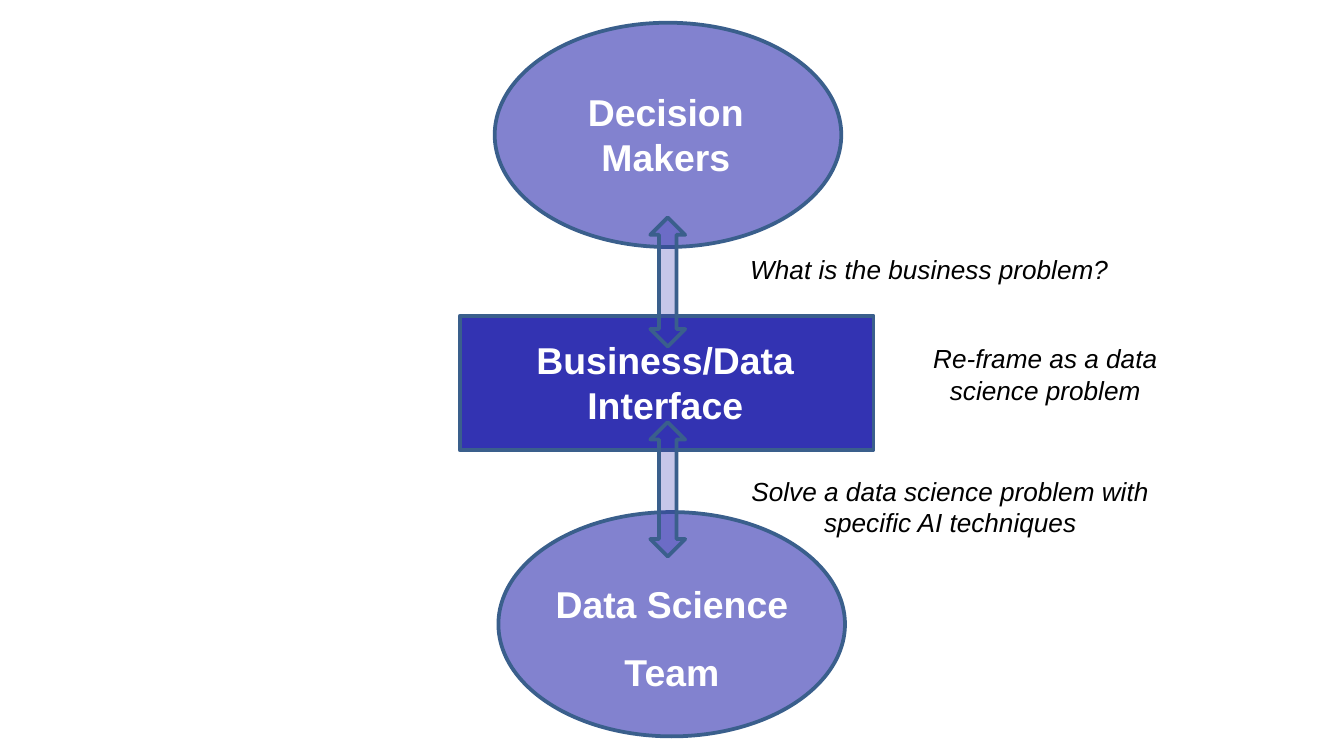
from lxml import etree
from pptx import Presentation
from pptx import util as u
from pptx.dml.color import RGBColor
from pptx.enum import shapes, text
from pptx.oxml.ns import qn

THEME = {
    "fill": "3333B2",
    "line": "3A5F8C",
    "line_width": 2,
    "title": {"name": "Arial", "size": u.Pt(20), "bold": True, "italic": False, "color": "FFFFFF"},
    "note": {"name": "Arial", "size": u.Pt(14), "bold": False, "italic": True, "color": "000000"},
    "gap": 12,
}
ELLIPSE = shapes.MSO_SHAPE.OVAL
BOX = shapes.MSO_SHAPE.RECTANGLE
ARROW = shapes.MSO_SHAPE.UP_DOWN_ARROW

GROUPS = [
    (ELLIPSE, (9.35, 0.43, 6.55, 4.24), 61),
    (ELLIPSE, (9.42, 9.68, 6.55, 4.24), 61),
    (BOX, (8.69, 5.97, 7.82, 2.54), 100),
]
LABELS = [
    ("title", (9.78, 1.57, 5.61, 1.96), ["Decision Makers"]),
    ("title", (10.21, 10.87, 4.98, 2.39), ["Data Science", "Team"]),
    ("title", (9.3, 6.25, 6.55, 1.96), ["Business/Data Interface"]),
    ("note", (12.7, 4.67, 9.73, 0.86), ["What is the business problem?"]),
    ("note", (16.48, 6.35, 6.55, 1.45), ["Re-frame as a data science problem"]),
    ("note", (13.21, 8.86, 9.5, 1.45), ["Solve a data science problem with specific AI techniques"]),
]
ARROWS = [
    (ARROW, (12.29, 4.11, 0.66, 2.44), 28),
    (ARROW, (12.29, 7.98, 0.66, 2.54), 28),
]


def add_figure(s, kind, place, opacity):
    sp = s.shapes.add_shape(kind, *map(u.Cm, place))
    sp.shadow.inherit = False
    sp.fill.solid()
    sp.fill.fore_color.rgb = RGBColor.from_string(THEME["fill"])
    if opacity < 100:
        color = sp.fill._xPr.find(qn("a:solidFill"))[0]
        etree.SubElement(color, qn("a:alpha"), val=str(opacity * 1000))
    sp.line.color.rgb = RGBColor.from_string(THEME["line"])
    sp.line.width = u.Pt(THEME["line_width"])


def add_label(s, style, place, lines):
    tf = s.shapes.add_textbox(*map(u.Cm, place)).text_frame
    tf.word_wrap = True
    tf.auto_size = text.MSO_AUTO_SIZE.SHAPE_TO_FIT_TEXT
    for i, line in enumerate(lines):
        p = tf.add_paragraph() if i else tf.paragraphs[0]
        p.alignment = text.PP_ALIGN.CENTER
        p.space_before = u.Pt(THEME["gap"] if i else 0)
        r = p.add_run()
        r.text = line
        for key, value in THEME[style].items():
            if key == "color":
                r.font.color.rgb = RGBColor.from_string(value)
            else:
                setattr(r.font, key, value)


def main():
    prs = Presentation()
    prs.slide_width, prs.slide_height = u.Cm(25.4), u.Cm(14.29)
    s = prs.slides.add_slide(prs.slide_layouts[6])
    for figure in GROUPS:
        add_figure(s, *figure)
    for label in LABELS:
        add_label(s, *label)
    for arrow in ARROWS:
        add_figure(s, *arrow)
    prs.save("out.pptx")


if __name__ == "__main__":
    main()
